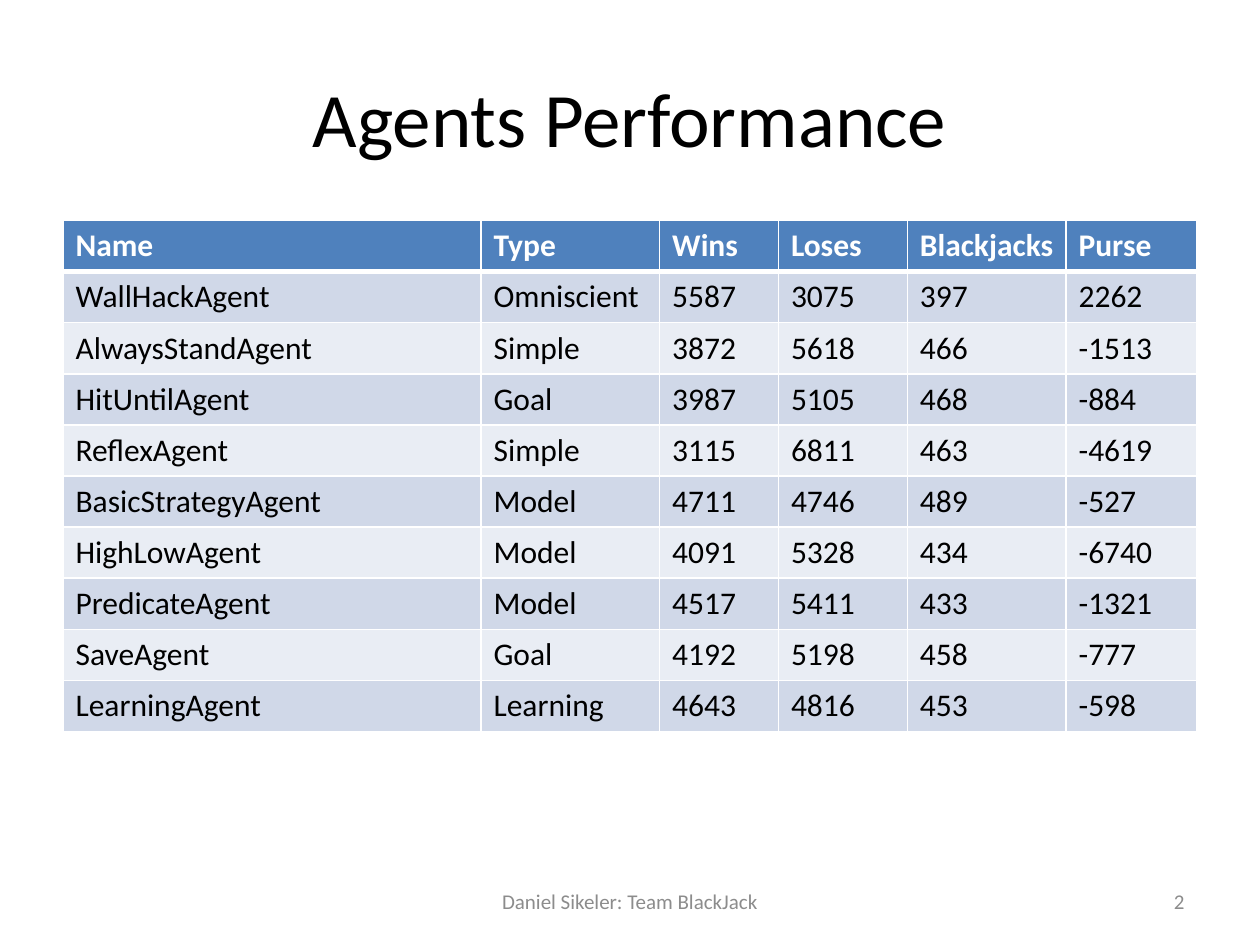
import pptx
import pptx.util
import pptx.dml.color
import pptx.enum.text
import lxml.etree

Pt = pptx.util.Pt
ALIGN = pptx.enum.text.PP_ALIGN
MIDDLE = pptx.enum.text.MSO_ANCHOR.MIDDLE
NS = "http://schemas.openxmlformats.org/drawingml/2006/main"


def rgb(value):
    return pptx.dml.color.RGBColor.from_string(value)


def write(tf, text, color, align, **font):
    p = tf.paragraphs[0]
    p.alignment = align
    r = p.add_run()
    r.text = text
    r.font.color.rgb = rgb(color)
    for name, value in {"name": "Calibri", **font}.items():
        setattr(r.font, name, value)


prs = pptx.Presentation()
prs.slide_width, prs.slide_height = Pt(720), Pt(540)
s = prs.slides.add_slide(prs.slide_layouts[6])

# Title, slide number and footer
for text, box, size, color, align in [
    ("Agents Performance", (36, 21.6, 648, 90), 44, "000000", ALIGN.CENTER),
    ("2", (516, 500.5, 168, 28.75), 12, "8C8C8C", ALIGN.RIGHT),
    ("Daniel Sikeler: Team BlackJack", (246, 500.5, 228, 28.75), 12, "8C8C8C", ALIGN.CENTER),
]:
    tf = s.shapes.add_textbox(*map(Pt, box)).text_frame
    tf.word_wrap = True
    tf.vertical_anchor = MIDDLE
    write(tf, text, color, align, size=Pt(size))

# Results table
rows = [
    ("Name", "Type", "Wins", "Loses", "Blackjacks", "Purse"),
    ("WallHackAgent", "Omniscient", 5587, 3075, 397, 2262),
    ("AlwaysStandAgent", "Simple", 3872, 5618, 466, -1513),
    ("HitUntilAgent", "Goal", 3987, 5105, 468, -884),
    ("ReflexAgent", "Simple", 3115, 6811, 463, -4619),
    ("BasicStrategyAgent", "Model", 4711, 4746, 489, -527),
    ("HighLowAgent", "Model", 4091, 5328, 434, -6740),
    ("PredicateAgent", "Model", 4517, 5411, 433, -1321),
    ("SaveAgent", "Goal", 4192, 5198, 458, -777),
    ("LearningAgent", "Learning", 4643, 4816, 453, -598),
]
widths = [238.9, 102.05, 67.9, 73.7, 90.7, 74.75]
row_height = 29.2
table = s.shapes.add_table(len(rows), len(widths), Pt(36), Pt(126),
                           Pt(sum(widths)), Pt(row_height * len(rows))).table
for column, width in zip(table.columns, widths):
    column.width = Pt(width)

for i, row in enumerate(rows):
    table.rows[i].height = Pt(row_height)
    header = i == 0
    fill = "4F81BD" if header else ("E9EDF4", "D0D8E8")[i % 2]
    for j, value in enumerate(row):
        cell = table.cell(i, j)
        # White borders, thicker below the header
        tcPr = cell._tc.get_or_add_tcPr()
        for side in "LRTB":
            thick = (i, side) in [(0, "B"), (1, "T")]
            ln = lxml.etree.SubElement(tcPr, f"{{{NS}}}ln{side}", w=str(Pt(3 if thick else 1)))
            solid = lxml.etree.SubElement(ln, f"{{{NS}}}solidFill")
            lxml.etree.SubElement(solid, f"{{{NS}}}srgbClr", val="FFFFFF")
        cell.fill.solid()
        cell.fill.fore_color.rgb = rgb(fill)
        write(cell.text_frame, str(value), "FFFFFF" if header else "000000",
              ALIGN.LEFT, size=Pt(18), bold=header)

prs.save("out.pptx")
